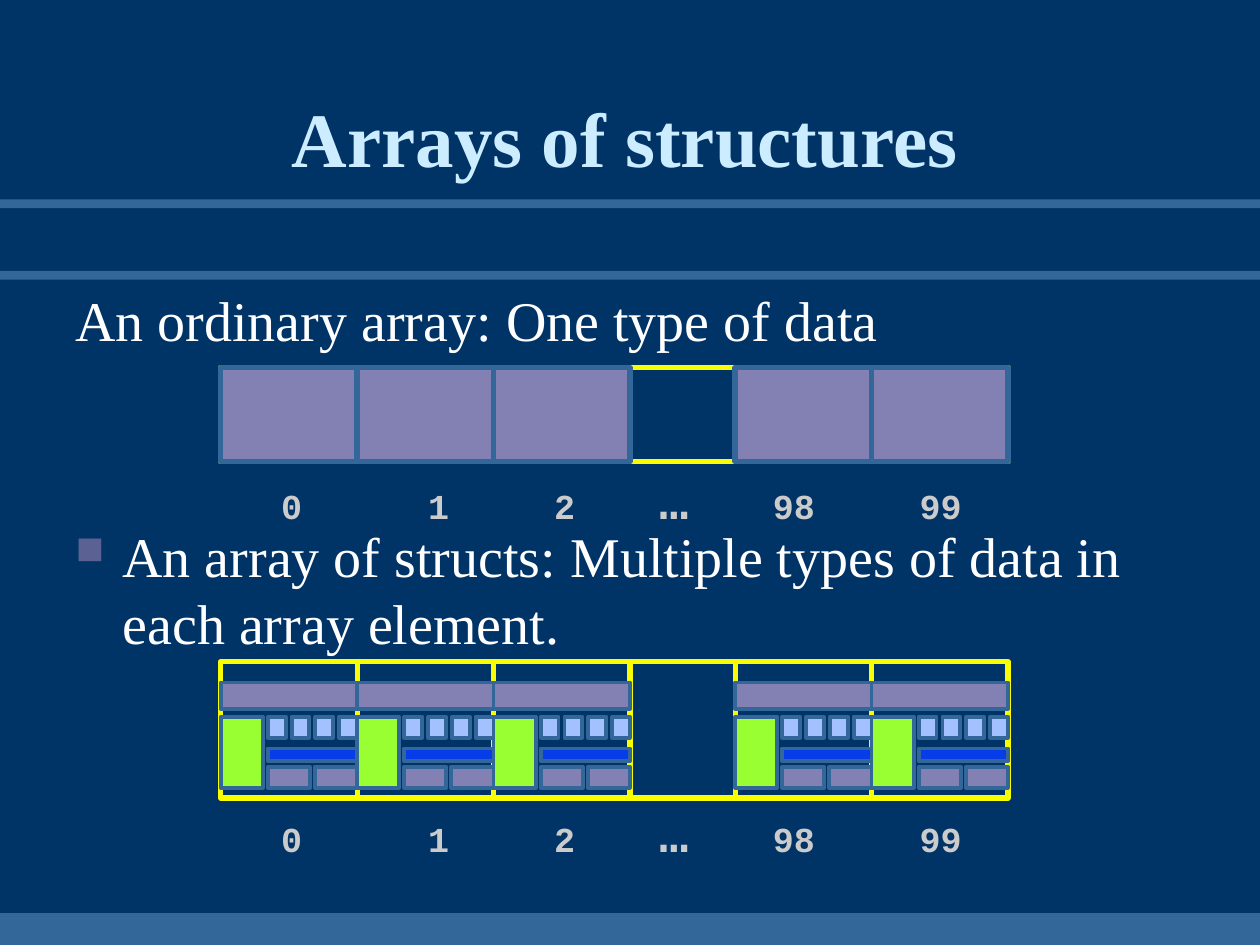
from lxml import etree
from pptx import Presentation
from pptx.dml.color import RGBColor
from pptx.enum.shapes import MSO_CONNECTOR, MSO_SHAPE
from pptx.enum.text import MSO_ANCHOR, PP_ALIGN
from pptx.oxml.ns import qn
from pptx.util import Cm, Pt

RECTANGLE = MSO_SHAPE.RECTANGLE
STRAIGHT = MSO_CONNECTOR.STRAIGHT
BOTTOM = MSO_ANCHOR.BOTTOM
CENTER = PP_ALIGN.CENTER
LEFT = PP_ALIGN.LEFT

NAVY = RGBColor(0x00, 0x33, 0x66)
STEEL = RGBColor(0x33, 0x66, 0x99)
ICE = RGBColor(0xCC, 0xEC, 0xFF)
WHITE = RGBColor(0xFF, 0xFF, 0xFF)
SILVER = RGBColor(0xCB, 0xCB, 0xCB)
YELLOW = RGBColor(0xFA, 0xFD, 0x00)
LAVENDER = RGBColor(0x83, 0x81, 0xB3)
LIME = RGBColor(0x99, 0xFF, 0x33)
SKY = RGBColor(0xA2, 0xC1, 0xFE)
BLUE = RGBColor(0x06, 0x3D, 0xE8)
BULLET = RGBColor(0x5B, 0x61, 0x92)

TITLE_FORMAT = {"size": Pt(44), "name": "Times New Roman", "bold": True}
BODY_FORMAT = {"size": Pt(32), "name": "Times New Roman"}
INDEX_FORMAT = {"size": Pt(20), "name": "Courier New", "bold": True}
DOTS_FORMAT = {**INDEX_FORMAT, "size": Pt(28)}

ARRAY_LEFT, ARRAY_WIDTH, CELL_WIDTH, GAP_WIDTH = 4.45, 15.87, 2.75, 2.12
GAP_LEFT = ARRAY_LEFT + 3 * CELL_WIDTH
CELL_LEFTS = [ARRAY_LEFT + i * CELL_WIDTH for i in range(3)]
CELL_LEFTS += [GAP_LEFT + GAP_WIDTH + i * CELL_WIDTH for i in range(2)]
DIVIDERS = CELL_LEFTS[1:3] + [GAP_LEFT] + CELL_LEFTS[3:]
INDEX_TABS = [2.96, 5.5, 7.62, 9.91, 12.87]

STRUCT_FIELDS = [
    (0, 0.42, CELL_WIDTH, 0.53, LAVENDER),
    (0, 1.11, 0.85, 1.43, LIME),
    *[(0.95 + i * 0.48, 1.11, 0.36, 0.42, SKY) for i in range(4)],
    (0.95, 1.75, 1.8, 0.26, BLUE),
    *[(0.95 + i * 0.95, 2.12, 0.85, 0.42, LAVENDER) for i in range(2)],
]


def add_rectangle(shapes, left, top, width, height, fill=None, line=None, weight=3):
    box = shapes.add_shape(RECTANGLE, Cm(left), Cm(top), Cm(width), Cm(height))
    box.shadow.inherit = False
    if fill is None:
        box.fill.background()
    else:
        box.fill.solid()
        box.fill.fore_color.rgb = fill
    if line is None:
        box.line.fill.background()
    else:
        box.line.color.rgb = line
        box.line.width = Pt(weight)


def add_divider(shapes, left, top, height):
    divider = shapes.add_connector(
        STRAIGHT, Cm(left), Cm(top), Cm(left), Cm(top + height))
    divider.line.color.rgb = YELLOW
    divider.line.width = Pt(3)
    etree.SubElement(divider._element.spPr, qn("a:effectLst"))


def add_text_frame(shapes, left, top, width, height, **frame_format):
    box = shapes.add_textbox(Cm(left), Cm(top), Cm(width), Cm(height))
    for key, value in {"word_wrap": True, **frame_format}.items():
        setattr(box.text_frame, key, value)
    return box.text_frame


def add_span(para, text, font_format, color):
    span = para.add_run()
    span.text = text
    for key, value in font_format.items():
        setattr(span.font, key, value)
    span.font.color.rgb = color


def set_hanging_indent(para):
    properties = para._p.get_or_add_pPr()
    properties.set("marL", str(Cm(0.95)))
    properties.set("indent", str(Cm(-0.95)))
    return properties


def add_bullet(para):
    properties = set_hanging_indent(para)
    color = etree.SubElement(properties, qn("a:buClr"))
    etree.SubElement(color, qn("a:srgbClr"), val=str(BULLET))
    etree.SubElement(properties, qn("a:buSzPct"), val="70000")
    etree.SubElement(properties, qn("a:buChar"), char="■")


def add_tabs(para, positions):
    tabs = etree.SubElement(para._p.get_or_add_pPr(), qn("a:tabLst"))
    for position in positions:
        etree.SubElement(tabs, qn("a:tab"), pos=str(Cm(position)), algn="l")


def add_title(shapes):
    frame = add_text_frame(shapes, 1.7, 0.64, 21.8, 3.18, vertical_anchor=BOTTOM)
    para = frame.paragraphs[0]
    para.alignment = CENTER
    add_span(para, "Arrays of structures", TITLE_FORMAT, ICE)


def add_body(shapes):
    frame = add_text_frame(shapes, 1.27, 5.64, 23.29, 11.7)
    para = frame.paragraphs[0]
    set_hanging_indent(para)
    add_span(para, "An ordinary array: One type of data", BODY_FORMAT, WHITE)
    para = frame.add_paragraph()
    add_bullet(para)
    para.space_before = Pt(96)
    add_span(para, "An array of structs: Multiple types of data in each array element.",
             BODY_FORMAT, WHITE)


def add_index_row(shapes, top):
    frame = add_text_frame(shapes, ARRAY_LEFT, top, 16.15, 1.45,
                           margin_left=Cm(1.22), margin_top=Cm(0.31))
    para = frame.paragraphs[0]
    para.alignment = LEFT
    add_tabs(para, INDEX_TABS)
    add_span(para, "0\t1\t2\t", INDEX_FORMAT, SILVER)
    add_span(para, "…", DOTS_FORMAT, SILVER)
    add_span(para, "\t98\t99", INDEX_FORMAT, SILVER)


def add_array(page, top, height, index_top, fields, weight):
    shapes = page.shapes.add_group_shape().shapes
    add_rectangle(shapes, ARRAY_LEFT, top, ARRAY_WIDTH, height, line=YELLOW)
    for left in DIVIDERS:
        add_divider(shapes, left, top, height)
    add_index_row(shapes, index_top)
    for cell_left in CELL_LEFTS:
        for left, down, width, field_height, fill in fields:
            add_rectangle(shapes, cell_left + left, top + down, width,
                          field_height, fill, STEEL, weight)


def main():
    deck = Presentation()
    deck.slide_width, deck.slide_height = Cm(25.4), Cm(19.05)
    page = deck.slides.add_slide(deck.slide_layouts[6])
    page.background.fill.solid()
    page.background.fill.fore_color.rgb = NAVY
    for top, height in [(4.02, 0.18), (18.41, 0.64), (5.46, 0.18)]:
        add_rectangle(page.shapes, 0, top, 25.4, height, STEEL)
    add_title(page.shapes)
    add_body(page.shapes)
    add_array(page, 7.41, 1.9, 9.17, [(0, 0, CELL_WIDTH, 1.9, LAVENDER)], 3)
    add_array(page, 13.34, 2.75, 15.88, STRUCT_FIELDS, 2.25)
    deck.save("out.pptx")


if __name__ == "__main__":
    main()
